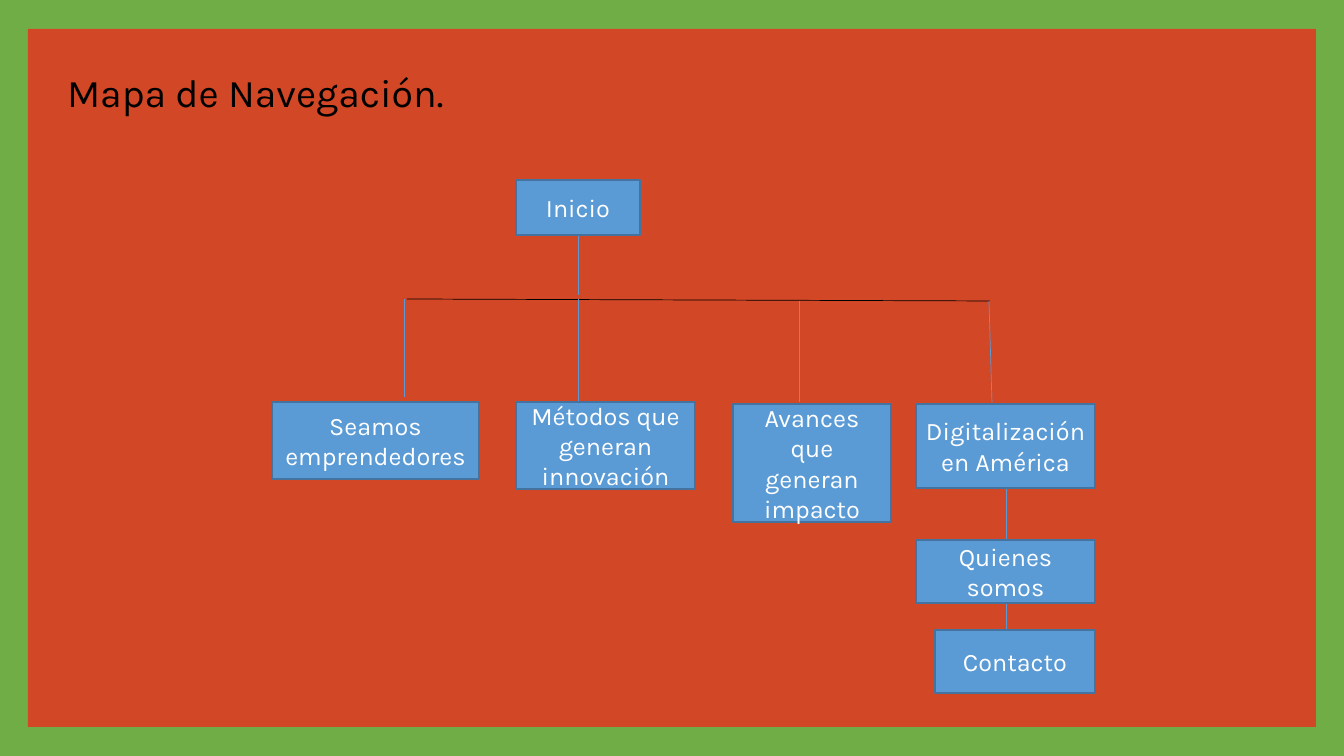
"""Build the navigation map slide: a site tree of labelled boxes and lines."""
from typing import NamedTuple

from lxml.etree import SubElement
from pptx import Presentation
from pptx.dml.color import RGBColor
from pptx.enum.shapes import MSO_CONNECTOR, MSO_SHAPE
from pptx.enum.text import MSO_ANCHOR, MSO_AUTO_SIZE, PP_ALIGN
from pptx.oxml.ns import qn
from pptx.util import Pt

EMU_PER_PIXEL = 914400 / 100.8
GREEN = RGBColor(0x70, 0xAD, 0x47)
RED = RGBColor(0xD2, 0x47, 0x26)
BLUE = RGBColor(0x5B, 0x9B, 0xD5)
DARK_BLUE = RGBColor(0x43, 0x73, 0x9E)
BLACK = RGBColor(0, 0, 0)
WHITE = RGBColor(0xFF, 0xFF, 0xFF)

FRAME_FORMAT = {"word_wrap": True, "auto_size": MSO_AUTO_SIZE.NONE}
TITLE_FONT = {"name": "Karla", "size": Pt(28)}
PAGE_FONT = {"name": "Karla", "size": Pt(18)}


class Page(NamedTuple):
    label: str
    left: int
    top: int
    width: int
    height: int


class Link(NamedTuple):
    start_x: int
    start_y: int
    end_x: int
    end_y: int
    color: RGBColor = BLUE


PAGES = [
    Page("Inicio", 516, 180, 124, 55),
    Page("Seamos emprendedores", 272, 402, 207, 77),
    Page("Digitalización en América", 916, 404, 179, 84),
    Page("Métodos que generan innovación", 516, 402, 179, 87),
    Page("Avances que generan impacto", 733, 404, 158, 118),
    Page("Quienes somos", 916, 540, 179, 63),
    Page("Contacto", 935, 630, 160, 63),
]
LINKS = [
    Link(578, 235, 578, 295),
    Link(407, 299, 990, 301, BLACK),
    Link(404, 299, 404, 397),
    Link(989, 301, 992, 402),
    Link(578, 299, 578, 402),
    Link(799, 301, 799, 402),
    Link(1006, 488, 1006, 539),
    Link(1006, 603, 1006, 630),
]


def emu(pixels: int) -> int:
    """Convert pixels to EMU."""
    return round(pixels * EMU_PER_PIXEL)


def apply_format(target, values: dict) -> None:
    """Set every attribute named in the format values."""
    for name, value in values.items():
        setattr(target, name, value)


def write_text(shape, text: str, font: dict, color: RGBColor, anchor, alignment) -> None:
    """Fill a shape with one formatted paragraph."""
    frame = shape.text_frame
    frame.text = text
    apply_format(frame, FRAME_FORMAT | {"vertical_anchor": anchor})
    paragraph = frame.paragraphs[0]
    paragraph.alignment = alignment
    run_font = paragraph.runs[0].font
    apply_format(run_font, font)
    run_font.color.rgb = color


def add_rectangle(slide, left: int, top: int, width: int, height: int, color: RGBColor):
    """Add a flat rectangle without outline."""
    shape = slide.shapes.add_shape(
        MSO_SHAPE.RECTANGLE, *map(emu, (left, top, width, height)))
    shape.shadow.inherit = False
    shape.fill.solid()
    shape.fill.fore_color.rgb = color
    shape.line.fill.background()
    return shape


def add_page(slide, page: Page) -> None:
    """Draw one page of the site as a labelled box."""
    shape = add_rectangle(slide, *page[1:], BLUE)
    shape.line.color.rgb = DARK_BLUE
    shape.line.width = Pt(1)
    write_text(shape, page.label, PAGE_FONT, WHITE, MSO_ANCHOR.MIDDLE, PP_ALIGN.CENTER)


def add_link(slide, link: Link) -> None:
    """Draw one thin straight line of the tree."""
    connector = slide.shapes.add_connector(MSO_CONNECTOR.STRAIGHT, *map(emu, link[:4]))
    connector.line.color.rgb = link.color
    connector.line.width = Pt(0.5)
    SubElement(connector.element.spPr, qn("a:effectLst"))


def build() -> None:
    """Create the presentation and save it."""
    presentation = Presentation()
    apply_format(presentation, {"slide_width": emu(1344), "slide_height": emu(756)})
    slide = presentation.slides.add_slide(presentation.slide_layouts[5])
    slide.background.fill.solid()
    slide.background.fill.fore_color.rgb = GREEN

    title = slide.shapes.title
    panel = add_rectangle(slide, 28, 29, 1288, 698, RED)
    title.element.addprevious(panel.element)
    apply_format(title, {"left": emu(57), "top": emu(49),
                         "width": emu(758), "height": emu(71)})
    write_text(title, "Mapa de Navegación.", TITLE_FONT, BLACK,
               MSO_ANCHOR.BOTTOM, PP_ALIGN.LEFT)

    for link in LINKS:
        add_link(slide, link)
    for page in PAGES:
        add_page(slide, page)
    presentation.save("out.pptx")


build()
